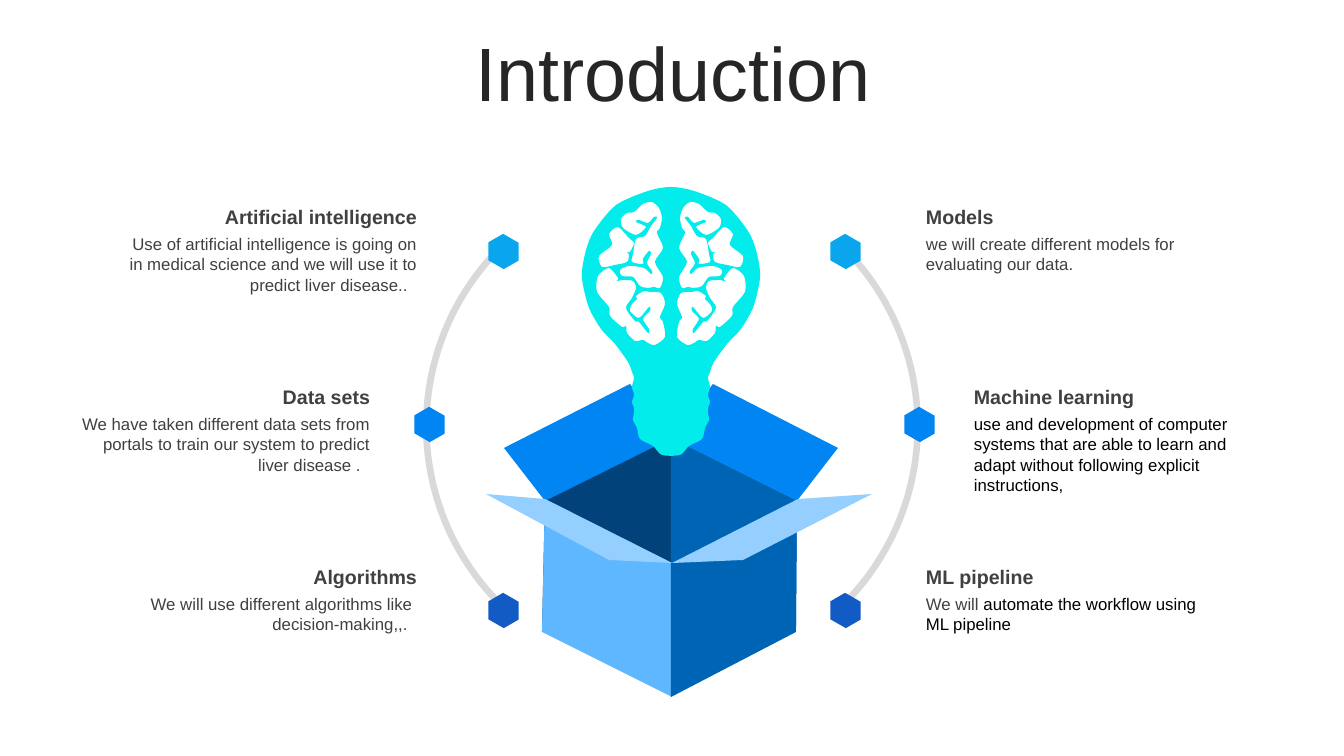
import pptx
import pptx.util
import pptx.dml.color
import pptx.enum.shapes
import pptx.enum.text

RGBColor = pptx.dml.color.RGBColor
Align = pptx.enum.text.PP_ALIGN
Anchor = pptx.enum.text.MSO_ANCHOR
Preset = pptx.enum.shapes.MSO_SHAPE

FONT = "Arial"
INK = RGBColor(0x26, 0x26, 0x26)
GRAY = RGBColor(0x40, 0x40, 0x40)
BLACK = RGBColor(0, 0, 0)
TRACK = RGBColor(0xD9, 0xD9, 0xD9)
CYAN = RGBColor(0x02, 0xEC, 0xEC)
SKY = RGBColor(0x0A, 0xA6, 0xED)
BLUE = RGBColor(0x00, 0x85, 0xF2)
ROYAL = RGBColor(0x12, 0x5A, 0xC4)
NAVY = RGBColor(0x00, 0x42, 0x79)
DEEP = RGBColor(0x00, 0x64, 0xB5)
LIGHT = RGBColor(0x5E, 0xB7, 0xFF)
PALE = RGBColor(0x94, 0xCF, 0xFF)

TITLE = "Introduction"
LEFT_TOPICS = [
    ("Artificial intelligence", [("Use of artificial intelligence is going on in medical science "
                                  "and we will use it to predict liver disease..  ", GRAY)]),
    ("Data sets", [("We have taken different data sets from portals to train our system "
                    "to predict liver disease .  ", GRAY)]),
    ("Algorithms", [("We will use different algorithms like  decision-making,,.  ", GRAY)]),
]
RIGHT_TOPICS = [
    ("Models", [("we will create different models for evaluating our data.", GRAY)]),
    ("Machine learning", [("use and development of computer systems that are able to learn "
                           "and adapt without following explicit instructions,", BLACK)]),
    ("ML pipeline", [("We will ", GRAY), ("automate the workflow using ML pipeline", BLACK)]),
]
SIDES = [
    (LEFT_TOPICS, Align.RIGHT, (114, 67, 114), (486, 412, 486)),
    (RIGHT_TOPICS, Align.LEFT, (916, 964, 916), (828, 902, 828)),
]
TOPIC_TOPS = (200, 380, 560)
MARKER_TOPS = (236, 409, 595)
MARKER_COLORS = (SKY, BLUE, ROYAL)
ARCS = [(423, 135.32, 226.4), (411, 313.6, 44.68)]

BOX_FACES = [
    (NAVY, [(672, 437), (672, 598), (542, 632), (545, 499)]),
    (DEEP, [(671, 437), (671, 599), (796, 632), (797, 499)]),
    (BLUE, [(672, 438), (630, 384), (504, 448), (545, 501)]),
    (BLUE, [(713, 384), (671, 438), (797, 501), (838, 448)]),
    (LIGHT, [(672, 563), (672, 697), (542, 632), (545, 499)]),
    (DEEP, [(796, 632), (671, 697), (671, 563), (797, 499)]),
    (PALE, [(672, 563), (743, 560), (872, 494), (798, 499)]),
    (PALE, [(545, 499), (672, 563), (609, 560), (486, 494)]),
]
CENTER = 671
BULB_HALF = [
    (662, 455), (653, 446), (640, 439), (637, 428), (633, 420), (634, 413), (634, 408),
    (632, 402), (634, 395), (632, 387), (634, 378), (632, 372), (628, 362), (615, 344),
    (601, 329), (589, 308), (583, 285), (582, 271), (586, 250), (594, 231), (616, 205),
    (648, 191),
]
BULB_TOP = (671, 187)
BRAIN_LOBES = [
    [(637, 299), (632, 304), (630, 311), (639, 318), (649, 307), (650, 311), (643, 319),
     (649, 329), (648, 333), (639, 322), (635, 321), (626, 308), (632, 298), (636, 288),
     (633, 281), (623, 280), (617, 281), (618, 278), (609, 268), (598, 276), (597, 292),
     (609, 307), (610, 316), (622, 327), (626, 326), (627, 333), (635, 341), (643, 340),
     (648, 343), (655, 345), (665, 337), (663, 322), (660, 317), (665, 304), (661, 293),
     (650, 292), (644, 291), (636, 296)],
    [(657, 218), (651, 226), (645, 236), (636, 239), (633, 254), (632, 262), (643, 264),
     (643, 259), (649, 251), (651, 254), (647, 263), (652, 271), (651, 274), (644, 268),
     (629, 266), (620, 270), (622, 276), (633, 277), (640, 286), (648, 288), (654, 287),
     (660, 288), (663, 277), (655, 262), (663, 248), (657, 233), (660, 228), (662, 218),
     (659, 208), (652, 202), (643, 204), (634, 212), (627, 213), (621, 219), (623, 228),
     (636, 235), (646, 227), (636, 222), (639, 220), (648, 223), (654, 217)],
    [(627, 252), (630, 252), (634, 243), (629, 238), (618, 227), (609, 234), (612, 245),
     (599, 256), (602, 267), (615, 265), (627, 262), (629, 255)],
]


def px(value):
    return pptx.util.Emu(round(value * 914400 / 100.8))


def paint(shape, color):
    shape.shadow.inherit = False
    shape.fill.solid()
    shape.fill.fore_color.rgb = color
    shape.line.fill.background()


def mirror(points):
    return [(2 * CENTER - x, y) for x, y in reversed(points)]


def smooth(points, steps=4, tension=0.4):
    curve = []
    for index, start in enumerate(points):
        before = points[index - 1]
        end = points[(index + 1) % len(points)]
        after = points[(index + 2) % len(points)]
        for step in range(steps):
            t = step / steps
            curve.append(tuple(
                (2 * t**3 - 3 * t**2 + 1) * b + (3 * t**2 - 2 * t**3) * c
                + tension * ((t**3 - 2 * t**2 + t) * (c - a) + (t**3 - t**2) * (d - b))
                for a, b, c, d in zip(before, start, end, after)))
    return curve


def add_outline(contours, color):
    contours = [[(px(x), px(y)) for x, y in contour] for contour in contours]
    builder = page.shapes.build_freeform(*contours[0][0], scale=1.0)
    builder.add_line_segments(contours[0][1:], close=True)
    for contour in contours[1:]:
        builder.move_to(*contour[0])
        builder.add_line_segments(contour[1:], close=True)
    paint(builder.convert_to_shape(), color)


def add_text(left, top, width, height, spans, size, align, bold=False):
    box = page.shapes.add_textbox(px(left), px(top), px(width), px(height))
    box.text_frame.word_wrap = True
    para = box.text_frame.paragraphs[0]
    para.alignment = align
    para.font.name = FONT
    para.font.size = pptx.util.Pt(size)
    para.font.bold = bold
    for text, color in spans:
        span = para.add_run()
        span.text = text
        span.font.color.rgb = color
    return box


deck = pptx.Presentation()
deck.slide_width, deck.slide_height = px(1344), px(756)
page = deck.slides.add_slide(deck.slide_layouts[6])

title = add_text(35, 37, 1276, 80, [(TITLE, INK)], 54, Align.CENTER)
title.text_frame.vertical_anchor = Anchor.MIDDLE
title.text_frame.paragraphs[0].line_spacing = 0.9

for color, corners in BOX_FACES:
    add_outline([corners], color)

bulb = BULB_HALF + [BULB_TOP] + mirror(BULB_HALF)
lobes = BRAIN_LOBES + [mirror(lobe) for lobe in BRAIN_LOBES]
add_outline([smooth(contour) for contour in [bulb] + lobes], CYAN)

for left, start, end in ARCS:
    arc = page.shapes.add_shape(Preset.BLOCK_ARC, px(left), px(171), px(510), px(510))
    for index, value in enumerate((start * 0.6, end * 0.6, 0.013)):
        arc.adjustments[index] = value
    paint(arc, TRACK)

for topics, align, text_lefts, marker_lefts in SIDES:
    rows = zip(topics, text_lefts, TOPIC_TOPS, marker_lefts, MARKER_TOPS, MARKER_COLORS)
    for (heading, spans), left, top, marker_left, marker_top, color in rows:
        add_text(left, top, 313, 34, [(heading, GRAY)], 14, align, True)
        add_text(left, top + 29, 313, 50, spans, 12, align)
        marker = page.shapes.add_shape(Preset.HEXAGON, px(marker_left), px(marker_top), px(35), px(31))
        marker.adjustments[0] = 0.29
        marker.rotation = 330
        paint(marker, color)

deck.save("out.pptx")
